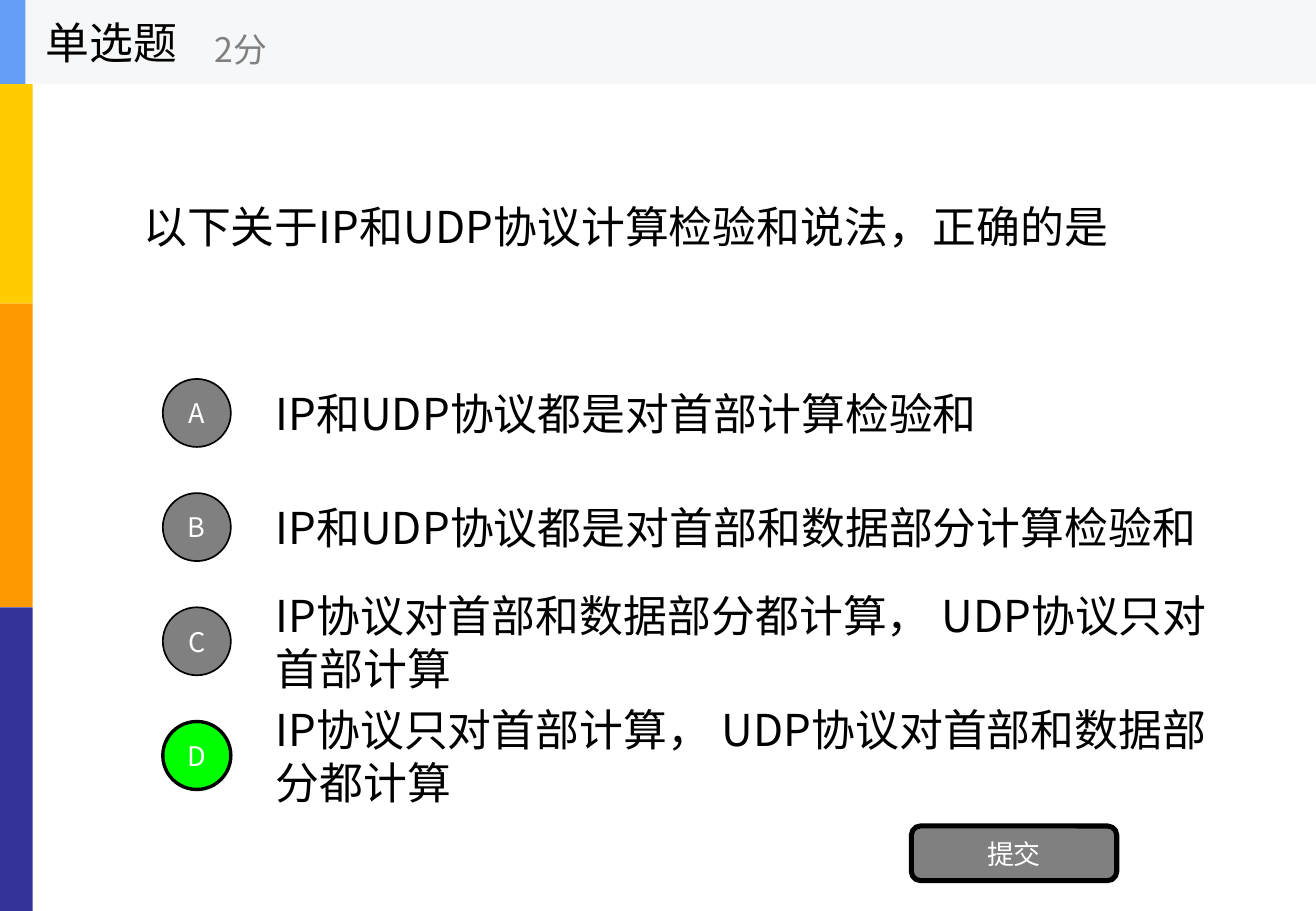
from dataclasses import dataclass

import pptx
import pptx.dml.color
import pptx.enum.shapes
import pptx.enum.text
import pptx.oxml.ns
import pptx.util
from lxml import etree

Inches = pptx.util.Inches
Kind = pptx.enum.shapes.MSO_SHAPE
Align = pptx.enum.text.PP_ALIGN


@dataclass(frozen=True)
class Theme:
    font: str = "Noto Sans CJK SC"
    big: int = 26
    mid: int = 20
    small: int = 16
    black: str = "000000"
    white: str = "FFFFFF"
    gray: str = "808080"
    green: str = "00FF00"
    blue: str = "639EF4"
    pale: str = "F6F7F8"
    bands: tuple = ("FFCC00", "FF9900", "333399")


THEME = Theme()

OPTIONS = [
    "IP和UDP协议都是对首部计算检验和",
    "IP和UDP协议都是对首部和数据部分计算检验和",
    "IP协议对首部和数据部分都计算， UDP协议只对首部计算",
    "IP协议只对首部计算， UDP协议对首部和数据部分都计算",
]
ANSWER = "D"


def rgb(color):
    return pptx.dml.color.RGBColor.from_string(color)


def write(shape, text, size, color, align=Align.LEFT):
    """Fill a shape with one paragraph, centred in height."""
    frame = shape.text_frame
    frame.word_wrap = True
    frame.vertical_anchor = pptx.enum.text.MSO_ANCHOR.MIDDLE
    para = frame.paragraphs[0]
    para.text = text
    para.alignment = align
    font = para.font
    font.size = pptx.util.Pt(size)
    font.color.rgb = rgb(color)
    font.name = THEME.font
    # East Asian letters need their own typeface entry.
    props = para._p.pPr.find(pptx.oxml.ns.qn("a:defRPr"))
    east = etree.SubElement(props, pptx.oxml.ns.qn("a:ea"))
    east.set("typeface", THEME.font)


def add_text(slide, box, text, size=THEME.big, color=THEME.black):
    label = slide.shapes.add_textbox(*map(Inches, box))
    write(label, text, size, color)


def add_block(slide, box, fill, kind=Kind.RECTANGLE, line=0):
    """Draw a filled shape; a line width of 0 means no outline."""
    block = slide.shapes.add_shape(kind, *map(Inches, box))
    block.shadow.inherit = False
    block.fill.solid()
    block.fill.fore_color.rgb = rgb(fill)
    if line:
        block.line.color.rgb = rgb(THEME.black)
        block.line.width = pptx.util.Pt(line)
    else:
        block.line.fill.background()
    return block


def add_button(slide, box, text, kind, fill=THEME.gray, line=1):
    button = add_block(slide, box, fill, kind, line)
    write(button, text, THEME.small, THEME.white, Align.CENTER)


def add_option(slide, top, letter, text):
    right = letter == ANSWER
    add_text(slide, (2.17, top, 7.9, 0.7), text)
    add_button(slide, (1.34, top + 0.07, 0.56, 0.56), letter, Kind.OVAL,
               THEME.green if right else THEME.gray, 2 if right else 1)


def add_header(slide):
    add_block(slide, (0, 0, 10.83, 0.69), THEME.pale)
    add_block(slide, (0, 0, 0.21, 0.69), THEME.blue)
    add_text(slide, (0.28, 0, 2.08, 0.69), "单选题")
    add_text(slide, (1.67, 0.12, 2.5, 0.56), "2分", THEME.mid, THEME.gray)


def main():
    deck = pptx.Presentation()
    deck.slide_width = Inches(10.83)
    deck.slide_height = Inches(7.5)
    slide = deck.slides.add_slide(deck.slide_layouts[6])

    for i, color in enumerate(THEME.bands):
        add_block(slide, (0, 2.5 * i, 0.27, 2.5), color)
    add_text(slide, (1.08, 0.69, 8.67, 2.34),
             "以下关于IP和UDP协议计算检验和说法，正确的是")
    for i, (letter, text) in enumerate(zip("ABCD", OPTIONS)):
        add_option(slide, 3.05 + 0.94 * i, letter, text)
    add_button(slide, (7.5, 6.8, 1.69, 0.45), "提交",
               Kind.ROUNDED_RECTANGLE, line=3)
    add_header(slide)

    deck.save("out.pptx")


if __name__ == "__main__":
    main()
